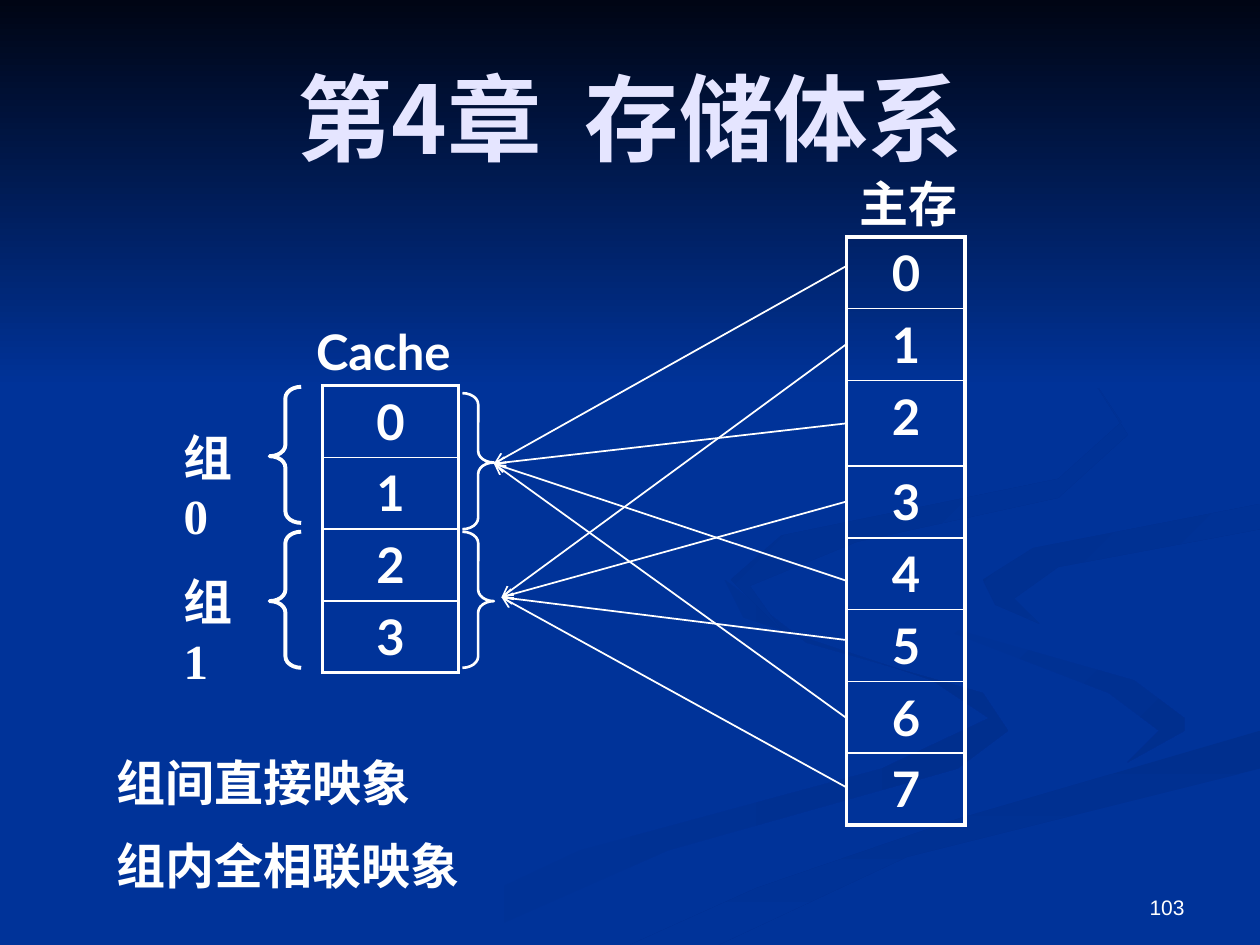
from dataclasses import dataclass

from lxml import etree
from pptx import Presentation
from pptx.dml.color import RGBColor
from pptx.enum.shapes import MSO_CONNECTOR, MSO_SHAPE
from pptx.enum.text import MSO_ANCHOR as Anchor, PP_ALIGN as Align
from pptx.oxml.ns import qn
from pptx.util import Inches, Pt


@dataclass(frozen=True)
class Theme:
    white: str = "FFFFFF"
    blue: str = "003399"
    deep: str = "002F8E"
    night: str = "000514"
    lilac: str = "E5E5FF"
    cjk: str = "Noto Sans CJK SC"
    serif: str = "Times New Roman"
    sans: str = "Lato"
    plain: str = "Arial"
    head: int = 54
    text: int = 28
    note: int = 12
    thin: float = 1
    mid: float = 1.5
    bold: float = 2.25


T = Theme()

# Ribbon outlines in inches, with the first and last colour and the angle
RIBBONS = [
    ([(7.8, 5.5), (6.4, 5.1), (5.75, 4.6), (5.9, 4.9), (7.4, 5.4), (7.85, 5.7),
      (7, 6.1), (4.6, 6.75), (3, 7.5), (3.6, 7.5), (5.3, 6.75), (7.6, 6.1), (8, 5.8)],
     T.blue, T.deep, 0),
    ([(9.4, 5.7), (9, 5.4), (7.6, 5), (7.25, 4.65), (7.5, 5), (8.8, 5.5), (9.2, 5.8),
      (8.95, 6.05), (9.4, 5.8)], T.blue, T.deep, 45),
    ([(5, 7.5), (5.7, 7.5), (7.2, 6.8), (10, 6.1), (10, 5.8), (7.6, 6.5), (6, 7.05)],
     T.deep, T.blue, 90),
    ([(7.8, 4.6), (7.9, 4.8), (8.25, 4.95), (8.05, 4.75), (8.4, 4.5), (10, 4.2),
      (10, 4), (8.2, 4.35)], T.deep, T.blue, 45),
    ([(6.8, 4.3), (8.4, 3.95), (8.95, 3.45), (8.6, 2.9), (7.6, 2.35), (8.6, 2.9),
      (8.9, 3.35), (8.4, 3.8), (6.2, 4.25), (5.8, 4.6), (6.2, 5), (5.95, 4.65)],
     T.deep, T.blue, 45),
    ([(0, 0), (10, 0), (10, 3.08), (0, 3.08)], T.night, T.blue, 90),
]


def rgb(code):
    return RGBColor.from_string(code)


def box(*sizes):
    return [Inches(n) for n in sizes]


def write(frame, *lines, size=T.text, face=T.sans, color=T.white, bold=True,
          align=Align.LEFT, anchor=Anchor.TOP, wrap=True, gap=0):
    """Fill a text frame, one paragraph a line, with gap points between them."""
    frame.word_wrap = wrap
    frame.vertical_anchor = anchor
    for i, line in enumerate(lines):
        para = frame.add_paragraph() if i else frame.paragraphs[0]
        para.alignment = align
        para.space_before = Pt(gap if i else 0)
        run = para.add_run()
        run.text = line
        font = run.font
        font.size, font.bold, font.name = Pt(size), bold, face
        font.color.rgb = rgb(color)
        etree.SubElement(font._element, qn("a:ea"), typeface=T.cjk)


def label(slide, area, *lines, **form):
    write(slide.shapes.add_textbox(*box(*area)).text_frame, *lines, **form)


def ribbon(slide, points, first, last, angle):
    start, *rest = [box(*point) for point in points]
    pen = slide.shapes.build_freeform(*start)
    pen.add_line_segments(rest, close=True)
    shape = pen.convert_to_shape()
    shape.shadow.inherit = False
    shape.line.fill.background()
    shape.fill.gradient()
    shape.fill.gradient_angle = -angle % 360
    for stop, color in zip(shape.fill.gradient_stops, (first, last)):
        stop.color.rgb = rgb(color)


def border(cell, side, width):
    line = etree.SubElement(cell._tc.get_or_add_tcPr(), qn(f"a:ln{side}"), w=str(Pt(width)))
    fill = etree.SubElement(line, qn("a:solidFill"))
    etree.SubElement(fill, qn("a:srgbClr"), val=T.white)


def blocks(slide, left, top, width, rows):
    """Stack numbered memory blocks inside a heavy frame."""
    frame = slide.shapes.add_table(len(rows), 1, *box(left, top, width, sum(rows)))
    table = frame.table
    table.first_row = table.horz_banding = False
    for i, high in enumerate(rows):
        table.rows[i].height = Inches(high)
        cell = table.cell(i, 0)
        write(cell.text_frame, str(i), align=Align.CENTER)
        border(cell, "L", T.bold)
        border(cell, "R", T.bold)
        border(cell, "T", T.thin if i else T.bold)
        border(cell, "B", T.thin if i < len(rows) - 1 else T.bold)
        cell.fill.background()


def brace(slide, kind, left, top, width):
    shape = slide.shapes.add_shape(kind, *box(left, top, 0.25, 1.08))
    shape.shadow.inherit = False
    shape.adjustments[0], shape.adjustments[1] = 0.36, 0.51
    shape.fill.background()
    shape.line.color.rgb = rgb(T.white)
    shape.line.width = Pt(width)


def arrow(slide, start, end):
    link = slide.shapes.add_connector(MSO_CONNECTOR.STRAIGHT, *box(*start, *end))
    link.line.color.rgb = rgb(T.white)
    link.line.width = Pt(T.thin)
    etree.SubElement(link.line._get_or_add_ln(), qn("a:tailEnd"), type="arrow")
    etree.SubElement(link._element.spPr, qn("a:effectLst"))


def main():
    deck = Presentation()
    deck.slide_width, deck.slide_height = box(10, 7.5)
    slide = deck.slides.add_slide(deck.slide_layouts[5])
    slide.background.fill.solid()
    slide.background.fill.fore_color.rgb = rgb(T.blue)
    for shape in RIBBONS:
        ribbon(slide, *shape)

    title = slide.shapes.title
    slide.shapes._spTree.append(title._element)  # bring in front of the ribbons
    title.left, title.top, title.width, title.height = box(0.5, 0.3, 9, 1.25)
    write(title.text_frame, "第4章  存储体系", size=T.head, face=T.cjk, color=T.lilac,
          align=Align.CENTER, anchor=Anchor.MIDDLE)
    label(slide, (7.17, 6.83, 2.33, 0.52), "103", size=T.note, face=T.plain, bold=False,
          align=Align.RIGHT, anchor=Anchor.BOTTOM)

    blocks(slide, 2.56, 3.06, 1.08, [0.57] * 4)
    blocks(slide, 6.72, 1.88, 0.94, [0.57] * 2 + [0.68] + [0.57] * 5)
    label(slide, (2.41, 2.5, 1.38, 0.57), "Cache", wrap=False)
    label(slide, (6.72, 1.33, 0.98, 0.57), "主存", wrap=False)

    for i, (left, right) in enumerate([(3.07, 3.12), (4.22, 4.22)]):
        brace(slide, MSO_SHAPE.LEFT_BRACE, 2.14, left, T.bold)
        brace(slide, MSO_SHAPE.RIGHT_BRACE, 3.67, right, T.mid)
        label(slide, (1.36, left + 0.27, 0.76, 0.57), f"组{i}", face=T.serif)
    label(slide, (0.83, 5.92, 3.56, 1.27), "组间直接映象", "组内全相联映象",
          face=T.serif, gap=14)

    groups = [(3.92, 3.68), (3.98, 4.74)]
    for i, y in enumerate([2.11, 2.73, 3.36, 3.98, 4.61, 5.08, 5.7, 6.25]):
        arrow(slide, (6.72, y), groups[i % 2])
    deck.save("out.pptx")


if __name__ == "__main__":
    main()
